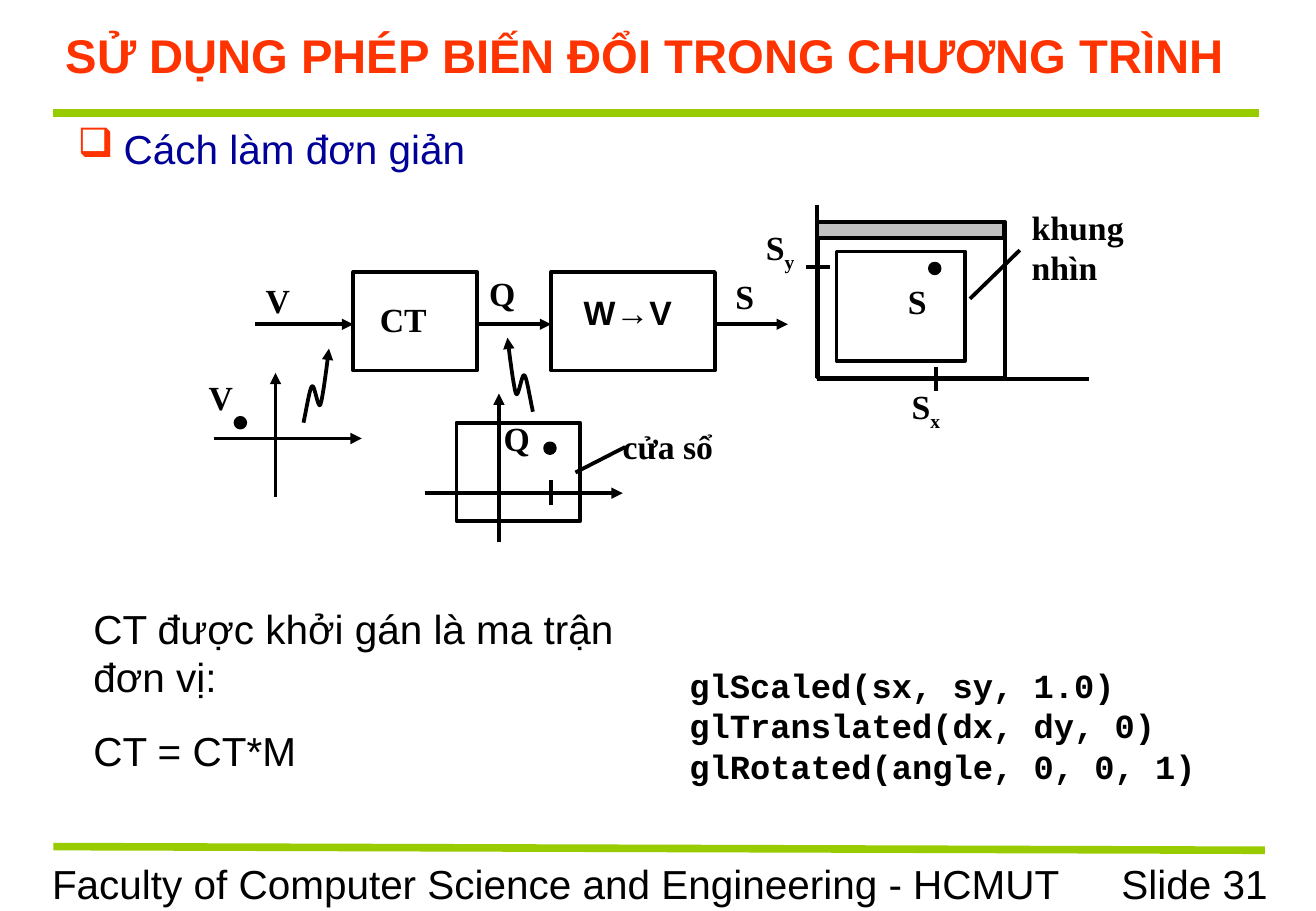
from lxml import etree
from pptx import Presentation
from pptx.dml.color import RGBColor
from pptx.enum.shapes import MSO_CONNECTOR, MSO_SHAPE
from pptx.enum.text import MSO_ANCHOR, MSO_AUTO_SIZE, PP_ALIGN
from pptx.oxml.ns import qn
from pptx.util import Inches, Pt

LEFT, CENTER, RIGHT = PP_ALIGN.LEFT, PP_ALIGN.CENTER, PP_ALIGN.RIGHT
RECTANGLE, OVAL = MSO_SHAPE.RECTANGLE, MSO_SHAPE.OVAL
STRAIGHT = MSO_CONNECTOR.STRAIGHT
COLORS = {"title": "FF3300", "topic": "000099", "rule": "99CC00",
          "ink": "000000", "bar": "C0C0C0"}

TITLE = "SỬ DỤNG PHÉP BIẾN ĐỔI TRONG CHƯƠNG TRÌNH"
TOPIC = "Cách làm đơn giản"
EXPLANATION = ["CT được khởi gán là ma trận đơn vị:", "CT = CT*M"]
CODE = "glScaled(sx, sy, 1.0) glTranslated(dx, dy, 0) glRotated(angle, 0, 0, 1)"
FOOTER = "Faculty of Computer Science and Engineering - HCMUT"
PAGE = "Slide 31"

RULES = [(0.44, 0.93, 10.37, 0.93), (0.44, 6.97, 10.42, 7)]
AXES = [(1.76, 3.61, 2.98, 3.61), (2.27, 4.09, 2.27, 3.07),
        (3.5, 4.06, 5.13, 4.06), (4.11, 4.46, 4.11, 3.24)]
FLOW_Y = 2.67
FLOW_SPANS = [(2.1, 2.91), (3.93, 4.54), (5.88, 6.49)]
FRAMES = [(2.91, 2.24, 1.02, 0.81), (4.54, 2.24, 1.35, 0.81),
          (3.76, 3.48, 1.02, 0.81), (6.89, 2.07, 1.06, 0.9),
          (6.74, 1.83, 1.54, 1.28)]
TITLE_BAR = (6.73, 1.83, 1.54, 0.13)
SCREEN_AXES = [(6.73, 3.12, 8.97, 3.12), (6.73, 3.11, 6.73, 1.69)]
TICKS = [(4.54, 4.16, 4.54, 3.95), (7.71, 3.22, 7.71, 3.02), (6.84, 2.2, 6.64, 2.2)]
LEADERS = [(5.15, 3.68, 4.74, 3.89), (8.4, 2.06, 7.99, 2.46)]
POINTS = [(4.49, 3.65), (1.94, 3.44), (7.66, 2.17)]
POINT_SIZE = 0.08

SQUIGGLE = [(0, 0.61), (0.03, 0.47), (0.05, 0.33), (0.07, 0.31), (0.09, 0.28),
            (0.12, 0.51), (0.14, 0.46), (0.16, 0.41), (0.2, 0.08), (0.21, 0)]
SQUIGGLE_STARTS = [(2.5, 2.87, 1), (4.39, 2.78, -1)]
CURVE_STEPS = 8

LABELS = [("V", "", 1.62, 3.05, 0.41), ("V", "", 2.09, 2.25, 0.41),
          ("Q", "", 3.93, 2.2, 0.61), ("Q", "", 4.05, 3.39, 0.41),
          ("CT", "", 3.03, 2.41, 0.81), ("S", "", 5.96, 2.22, 0.41),
          ("S", "", 7.38, 2.26, 0.41), ("S", "y", 6.21, 1.82, 0.61),
          ("S", "x", 7.41, 3.13, 0.61), ("cửa sổ", "", 5.03, 3.46, 1.22),
          ("khung nhìn", "", 8.4, 1.65, 1.02)]


def rgb(name):
    return RGBColor.from_string(COLORS[name])


def write(frame, texts, size=24, font="Arial", color="ink", bold=False,
          align=LEFT, before=0, subscript=""):
    frame.word_wrap = True
    frame.auto_size = MSO_AUTO_SIZE.NONE
    for index, text in enumerate(texts):
        paragraph = frame.add_paragraph() if index else frame.paragraphs[0]
        paragraph.alignment = align
        paragraph.space_before = Pt(before)
        for part in filter(None, (text, subscript)):
            run = paragraph.add_run()
            run.text = part
            run.font.size = Pt(size)
            run.font.name = font
            run.font.bold = bold
            run.font.color.rgb = rgb(color)
        if subscript:
            run._r.get_or_add_rPr().set("baseline", "-25000")
    return frame


def text_box(box, texts, **style):
    frame = slide.shapes.add_textbox(*map(Inches, box)).text_frame
    return write(frame, texts, **style)


def add_bullet(paragraph, symbol, color, indent):
    properties = paragraph._p.get_or_add_pPr()
    properties.set("marL", str(Inches(indent)))
    properties.set("indent", str(-Inches(indent)))
    bullet_color = etree.SubElement(properties, qn("a:buClr"))
    etree.SubElement(bullet_color, qn("a:srgbClr"), val=COLORS[color])
    etree.SubElement(properties, qn("a:buChar"), char=symbol)


def stroke(item, color="ink", width=2.25, arrow=False):
    item.line.color.rgb = rgb(color)
    item.line.width = Pt(width)
    if arrow:
        etree.SubElement(item.line._get_or_add_ln(), qn("a:tailEnd"), type="triangle")


def line(ends, **style):
    connector = slide.shapes.add_connector(STRAIGHT, *map(Inches, ends))
    stroke(connector, **style)
    etree.SubElement(connector._element.spPr, qn("a:effectLst"))


def outline(kind, box, fill=None):
    shape = slide.shapes.add_shape(kind, *map(Inches, box))
    shape.shadow.inherit = False
    if fill:
        shape.fill.solid()
        shape.fill.fore_color.rgb = rgb(fill)
    else:
        shape.fill.background()
    stroke(shape)


def bezier(a, b, c, d, t):
    u = 1 - t
    return tuple(u**3 * p + 3 * u * u * t * q + 3 * u * t * t * r + t**3 * s
                 for p, q, r, s in zip(a, b, c, d))


def squiggle(left, top, direction):
    curve = [bezier(*SQUIGGLE[first:first + 4], step / CURVE_STEPS)
             for first in range(0, len(SQUIGGLE) - 1, 3)
             for step in range(1, CURVE_STEPS + 1)]
    placed = [(Inches(left + direction * x), Inches(top + y))
              for x, y in [SQUIGGLE[0]] + curve]
    builder = slide.shapes.build_freeform(*placed[0])
    builder.add_line_segments(placed[1:], close=False)
    shape = builder.convert_to_shape()
    shape.shadow.inherit = False
    shape.fill.background()
    stroke(shape, arrow=True)


deck = Presentation()
deck.slide_width, deck.slide_height = Inches(10.84), Inches(7.5)
slide = deck.slides.add_slide(deck.slide_layouts[5])

for rule in RULES:
    line(rule, color="rule", width=4.5)
text_box((8.55, 7.02, 1.99, 0.5), [PAGE], align=RIGHT, before=15)
text_box((0.33, 7.02, 8.52, 0.5), [FOOTER], before=15)

title = slide.shapes.title
title.left, title.top, title.width, title.height = map(Inches, (0.33, 0.1, 9.96, 0.7))
title.text_frame.vertical_anchor = MSO_ANCHOR.MIDDLE
write(title.text_frame, [TITLE], size=28, color="title", bold=True, align=CENTER)
topic = text_box((0.54, 0.97, 9.75, 0.53), [TOPIC], color="topic", before=6.5)
add_bullet(topic.paragraphs[0], "❑", "title", 0.38)

for frame_box in FRAMES:
    outline(RECTANGLE, frame_box)
outline(RECTANGLE, TITLE_BAR, fill="bar")
for left, top in POINTS:
    outline(OVAL, (left, top, POINT_SIZE, POINT_SIZE), fill="ink")
flows = [(start, FLOW_Y, end, FLOW_Y) for start, end in FLOW_SPANS]
for ends in AXES + flows:
    line(ends, arrow=True)
for ends in SCREEN_AXES + TICKS + LEADERS:
    line(ends)
for start in SQUIGGLE_STARTS:
    squiggle(*start)

for label, subscript, left, top, width in LABELS:
    text_box((left, top, width, 0.61), [label], size=20, font="Times New Roman",
             bold=True, subscript=subscript)
text_box((4.71, 2.35, 0.99, 0.62), ["W→V"], size=20, bold=True)
text_box((0.67, 4.92, 4.58, 1.51), EXPLANATION, before=15)
text_box((5.58, 5.42, 4.67, 1.1), [CODE], size=20, font="Courier New",
         bold=True, before=12.5)

deck.save("out.pptx")
